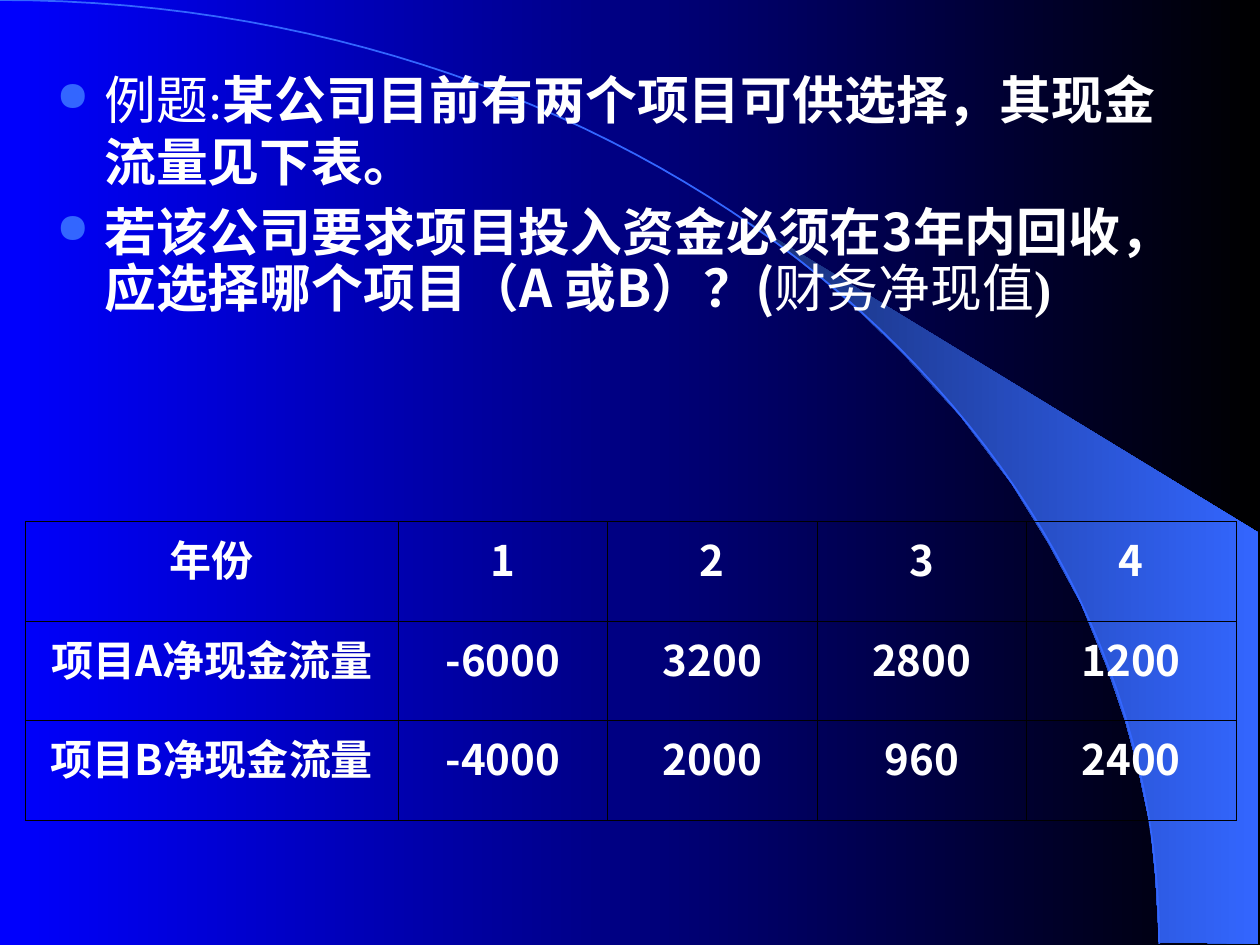
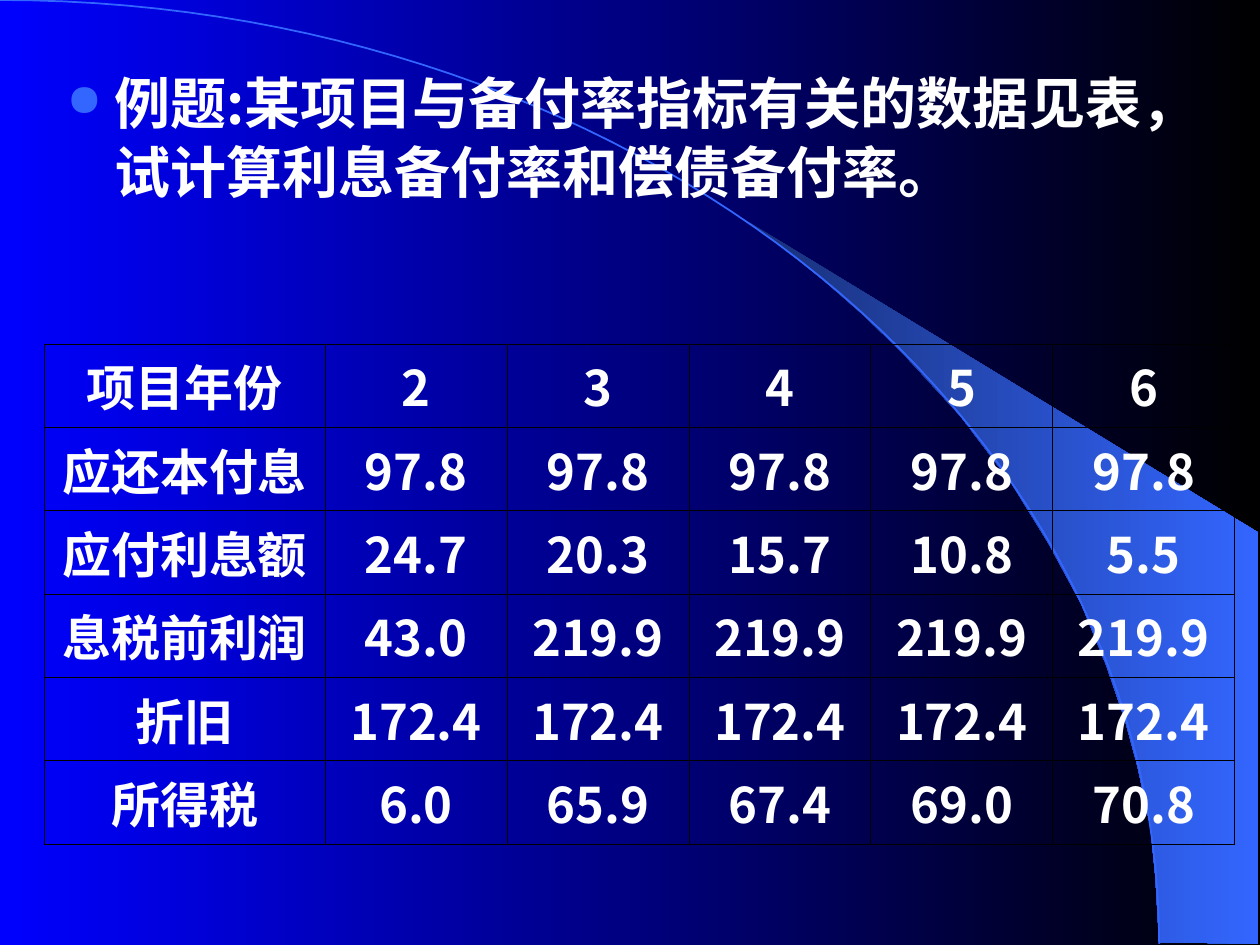
"""Two worked examples of project appraisal, each a question with a data table."""
from lxml import etree
from pptx import Presentation
from pptx import util as u
from pptx.dml.color import RGBColor
from pptx.enum import text
from pptx.oxml import ns

INK = {"blue": "0000FF", "black": "000000", "navy": "182F76",
       "sky": "3366FF", "white": "FFFFFF"}
SANS, SERIF = "Noto Sans CJK SC", "Times New Roman"
WEDGE = [(9.2, 7.48), (9.99, 7.49), (9.99, 4.23), (5.89, 1.73), (6.24, 1.99),
         (6.53, 2.22), (6.85, 2.5), (7.16, 2.8), (7.62, 3.3), (8.03, 3.84),
         (8.32, 4.31), (8.58, 4.79), (8.78, 5.28), (8.93, 5.72),
         (9.03, 6.09), (9.13, 6.56), (9.17, 6.96)]
CURVE = [(0, 0), (5.08, 0), (9.2, 3.35), (9.2, 7.49)]

FLOWS = [["年份", "1", "2", "3", "4"],
         ["项目A净现金流量", "-6000", "3200", "2800", "1200"],
         ["项目B净现金流量", "-4000", "2000", "960", "2400"]]
DEBT = [["项目年份", "2", "3", "4", "5", "6"],
        ["应还本付息"] + ["97.8"] * 5,
        ["应付利息额", "24.7", "20.3", "15.7", "10.8", "5.5"],
        ["息税前利润", "43.0"] + ["219.9"] * 4,
        ["折旧"] + ["172.4"] * 5,
        ["所得税", "6.0", "65.9", "67.4", "69.0", "70.8"]]


def rgb(name):
    """Return a palette colour."""
    return RGBColor.from_string(INK[name])


def add(parent, tag, **attrs):
    """Append a drawing element and return it."""
    return etree.SubElement(parent, ns.qn(tag), attrs)


def blend(fill, *names):
    """Fill with a left-to-right gradient of two colours."""
    fill.gradient()
    fill.gradient_angle = 0
    for stop, name, pos in zip(fill.gradient_stops, names, (0, 1)):
        stop.color.rgb = rgb(name)
        stop.position = pos


def trace(slide, points, close):
    """Draw an outline through points given in inches."""
    (x, y), *rest = points
    pen = slide.shapes.build_freeform(u.Inches(x), u.Inches(y))
    pen.add_line_segments([(u.Inches(a), u.Inches(b)) for a, b in rest], close)
    shape = pen.convert_to_shape()
    shape.shadow.inherit = False
    return shape


def bend(steps=60):
    """Return points along the cubic curve."""
    for i in range(steps + 1):
        t = i / steps
        parts = [(1 - t) ** 3, 3 * t * (1 - t) ** 2, 3 * t * t * (1 - t), t ** 3]
        yield tuple(sum(w * p[k] for w, p in zip(parts, CURVE)) for k in (0, 1))


def scene(deck):
    """Add a slide with the gradient, the wedge and the arc."""
    slide = deck.slides.add_slide(deck.slide_layouts[6])
    blend(slide.background.fill, "blue", "black")
    wedge = trace(slide, WEDGE, True)
    blend(wedge.fill, "navy", "sky")
    wedge.line.fill.background()
    arc = trace(slide, bend(), False)
    arc.fill.background()
    arc.line.color.rgb = rgb("sky")
    arc.line.width = u.Pt(1)
    return slide


def write(para, words, size, bold=True, face=SANS):
    """Add one white run."""
    run = para.add_run()
    run.text = words
    font = run.font
    font.size, font.bold, font.name = u.Pt(size), bold, face
    font.color.rgb = rgb("white")
    add(run._r.get_or_add_rPr(), "a:ea", typeface=SANS)


def dot(para):
    """Give a paragraph the round bullet and hanging indent."""
    prop = para._p.get_or_add_pPr()
    prop.set("marL", str(u.Inches(0.38)))
    prop.set("indent", str(-u.Inches(0.38)))
    add(add(prop, "a:buClr"), "a:srgbClr", val=INK["sky"])
    add(prop, "a:buSzPct", val="80000")
    add(prop, "a:buChar", char="●")


def question(slide, box, size, paras):
    """Place bulleted paragraphs, each a line pitch and its runs."""
    frame = slide.shapes.add_textbox(*map(u.Inches, box)).text_frame
    frame.word_wrap = True
    frame.margin_right = u.Inches(0.05)
    for i, (pitch, runs) in enumerate(paras):
        para = frame.add_paragraph() if i else frame.paragraphs[0]
        dot(para)
        para.line_spacing = u.Pt(pitch)
        if i:
            para.space_before = u.Pt(8)
        for words, *style in runs:
            write(para, words, size, *style)


def edge(cell):
    """Draw thin black borders round a clear cell."""
    prop = cell._tc.get_or_add_tcPr()
    for side in "LRTB":
        line = add(prop, f"a:ln{side}", w=str(u.Pt(0.45)))
        add(add(line, "a:solidFill"), "a:srgbClr", val=INK["black"])
    cell.fill.background()


def grid(slide, box, first, size, rows):
    """Place a table with a wide first column and equal others."""
    left, top, width, height = box
    count = len(rows[0])
    table = slide.shapes.add_table(len(rows), count, *map(u.Inches, box)).table
    table.first_row = table.horz_banding = False
    for i, col in enumerate(table.columns):
        col.width = u.Inches((width - first) / (count - 1) if i else first)
    for row, line in zip(table.rows, rows):
        row.height = u.Inches(height / len(rows))
        for cell, words in zip(row.cells, line):
            edge(cell)
            cell.margin_left = cell.margin_right = u.Inches(0.08)
            para = cell.text_frame.paragraphs[0]
            para.alignment = text.PP_ALIGN.CENTER
            write(para, words, size)


def payback(deck):
    """Build the slide that compares two projects."""
    slide = scene(deck)
    question(slide, (0.35, 0.49, 9.13, 2.71), 29.6, [
        (35.5, [("例题:", False, SERIF),
                ("某公司目前有两个项目可供选择，其现金流量见下表。",)]),
        (32, [("若该公司要求项目投入资金必须在3年内回收，应选择哪个项目（A 或B）？(",),
              ("财务净现值", False), (")", True, SERIF)])])
    grid(slide, (0.2, 4.14, 9.61, 2.37), 2.96, 24, FLOWS)


def cover(deck):
    """Build the slide on interest and debt cover."""
    slide = scene(deck)
    question(slide, (0.43, 0.49, 9.37, 1.37), 32, [
        (39, [("例题:某项目与备付率指标有关的数据见表，试计算利息备付率和偿债备付率。",)])])
    grid(slide, (0.35, 2.73, 9.45, 3.97), 2.23, 28, DEBT)


def main():
    """Build and save the deck."""
    deck = Presentation()
    deck.slide_width, deck.slide_height = u.Inches(10), u.Inches(7.5)
    payback(deck)
    cover(deck)
    deck.save("out.pptx")


if __name__ == "__main__":
    main()
